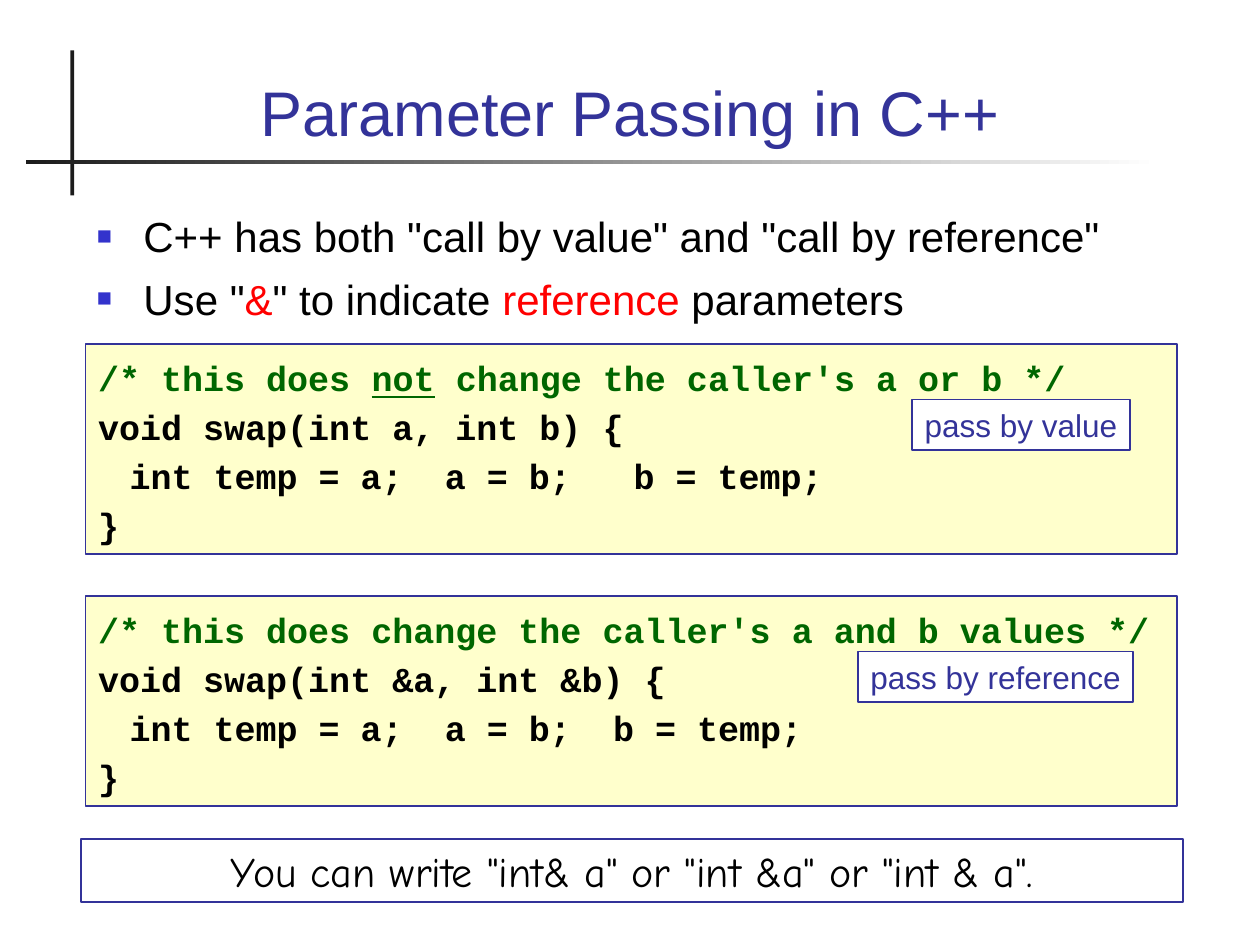
"""Build a slide on parameter passing in C++."""
from lxml.etree import SubElement
from pptx import Presentation
from pptx.dml.color import RGBColor
from pptx.enum.shapes import MSO_SHAPE
from pptx.enum.text import MSO_ANCHOR, PP_ALIGN
from pptx.oxml.ns import qn
from pptx.util import Inches, Pt

COLORS = {
    "navy": "333399", "bullet": "3333CC", "cream": "FFFFCC", "white": "FFFFFF",
    "green": "006600", "red": "FF0000", "black": "000000", "rule": "1C1C1C",
}
TITLE = {"name": "Arial", "size": Pt(36), "bold": False}
BODY = {"name": "Arial", "size": Pt(24)}
CODE = {"name": "Courier New", "size": Pt(20), "bold": True}
NOTE = {"name": "Comic Neue", "size": Pt(24)}
LABEL = {"name": "Arial", "size": Pt(18)}


def add_box(page, place, fill=None, line=None):
    box = page.shapes.add_shape(MSO_SHAPE.RECTANGLE, *[Inches(n) for n in place])
    box.shadow.inherit = False
    if fill:
        box.fill.solid()
        box.fill.fore_color.rgb = RGBColor.from_string(COLORS[fill])
    else:
        box.fill.background()
    if line:
        box.line.color.rgb = RGBColor.from_string(COLORS[line])
        box.line.width = Pt(1)
    else:
        box.line.fill.background()
    return box


def write(frame, paragraphs, font, align=PP_ALIGN.LEFT, gap=0, indent=0,
          bullet=None, tabs=(), anchor=MSO_ANCHOR.TOP, top=0.05, wrap=True):
    layout = {
        "word_wrap": wrap, "vertical_anchor": anchor, "margin_top": Inches(top),
        "margin_bottom": Inches(0.05), "margin_left": Inches(0.1),
        "margin_right": Inches(0.1),
    }
    for name, value in layout.items():
        setattr(frame, name, value)
    for index, spans in enumerate(paragraphs):
        para = frame.paragraphs[0] if index == 0 else frame.add_paragraph()
        properties = para._p.get_or_add_pPr()
        if indent:
            properties.set("marL", str(Inches(indent)))
            properties.set("indent", str(-Inches(indent)))
        if bullet:
            color = SubElement(properties, qn("a:buClr"))
            SubElement(color, qn("a:srgbClr"), val=COLORS["bullet"])
            SubElement(properties, qn("a:buSzPct"), val="60000")
            SubElement(properties, qn("a:buFont"), typeface="Arial")
            SubElement(properties, qn("a:buChar"), char=bullet)
        if tabs:
            stops = SubElement(properties, qn("a:tabLst"))
            for position in tabs:
                SubElement(stops, qn("a:tab"), pos=str(Inches(position)), algn="l")
        para.alignment = align
        para.space_before = Pt(gap if index else 0)
        for text, color, *underline in spans:
            span = para.add_run()
            span.text = text
            for name, value in font.items():
                setattr(span.font, name, value)
            span.font.color.rgb = RGBColor.from_string(COLORS[color])
            if underline:
                span.font.underline = True


deck = Presentation()
deck.slide_width, deck.slide_height = Inches(10), Inches(7.5)
page = deck.slides.add_slide(deck.slide_layouts[5])

add_box(page, (0.56, 0.4, 0.03, 1.15), "rule")
rule = add_box(page, (0.21, 1.27, 8.99, 0.03))
rule.fill.gradient()
rule.fill.gradient_angle = 180
for stop, color in zip(rule.fill.gradient_stops, ("white", "rule")):
    stop.color.rgb = RGBColor.from_string(COLORS[color])

title = page.shapes.title
title.left, title.top, title.width, title.height = [
    Inches(n) for n in (0.67, 0.28, 8.66, 0.95)]
write(title.text_frame, [[("Parameter Passing in C++", "navy")]], TITLE,
      align=PP_ALIGN.CENTER, anchor=MSO_ANCHOR.BOTTOM)

points = page.shapes.add_textbox(*[Inches(n) for n in (0.67, 1.58, 8.66, 1.17)])
write(points.text_frame, [
    [('C++ has both "call by value" and "call by reference"', "black")],
    [('Use "', "black"), ("&", "red"), ('" to indicate ', "black"),
     ("reference", "red"), (" parameters", "black")],
], BODY, gap=7, indent=0.37, bullet="■", top=0.09)

examples = [
    (2.73,
     [("/* this does ", "green"), ("not", "green", True),
      (" change the caller's a or b */", "green")],
     ["void swap(int a, int b) {", "\tint temp = a;  a = b; \tb = temp;", "}"]),
    (4.73,
     [("/* this does change the caller's a and b values */", "green")],
     ["void swap(int &a, int &b) {", "\tint temp = a;  a = b;  b = temp;", "}"]),
]
code_tabs = [0.25] + [n + 0.25 for n in range(1, 7)]
for top, comment, lines in examples:
    code_box = add_box(page, (0.68, top, 8.66, 1.67), "cream", "navy")
    write(code_box.text_frame, [comment] + [[(line, "black")] for line in lines],
          CODE, gap=4, indent=0.25, tabs=code_tabs, top=0.1)

note = add_box(page, (0.64, 6.66, 8.75, 0.5), line="navy")
write(note.text_frame,
      [[('You can write "int& a" or "int &a" or "int & a".', "black")]],
      NOTE, align=PP_ALIGN.CENTER, anchor=MSO_ANCHOR.MIDDLE)

for text, left, top, width in [("pass by reference", 6.81, 5.17, 2.18),
                               ("pass by value", 7.24, 3.17, 1.73)]:
    label = add_box(page, (left, top, width, 0.4), "white", "navy")
    write(label.text_frame, [[(text, "navy")]], LABEL,
          anchor=MSO_ANCHOR.MIDDLE, wrap=False)

deck.save("out.pptx")
